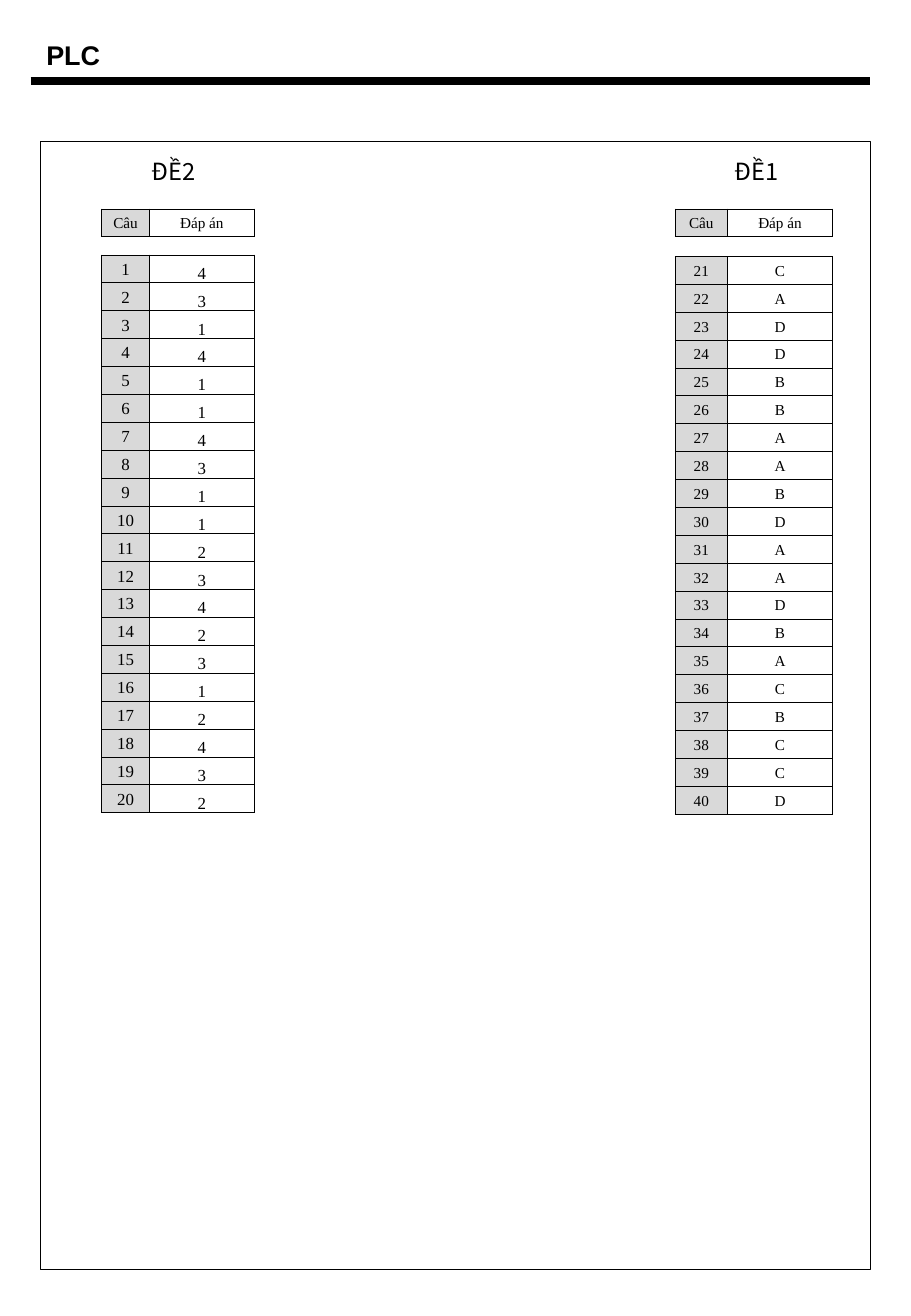
import pptx
import pptx.util
import pptx.dml.color
import pptx.enum.shapes
import pptx.enum.text
import pptx.oxml.ns
import lxml.etree

Cm = pptx.util.Cm
Pt = pptx.util.Pt
ANCHOR = pptx.enum.text.MSO_ANCHOR
COLORS = {"ink": "000000", "number": "D9D9D9", "answer": "FFFFFF"}
RGB = {name: pptx.dml.color.RGBColor.from_string(value) for name, value in COLORS.items()}


def write(paragraph, text, size, font, bold=False):
    run = paragraph.add_run()
    run.text = text
    run.font.size = Pt(size)
    run.font.name = font
    run.font.bold = bold
    run.font.color.rgb = RGB["ink"]


def add_grid(left, top, widths, height, rows, size, answer_anchor):
    grid = slide.shapes.add_table(
        len(rows), 2, Cm(left), Cm(top), Cm(sum(widths)), Cm(height)).table
    grid.first_row = False
    grid.horz_banding = False
    for column, width in zip(grid.columns, widths):
        column.width = Cm(width)
    for row, texts in zip(grid.rows, rows):
        row.height = Cm(height / len(rows))
        styles = (("number", ANCHOR.MIDDLE), ("answer", answer_anchor))
        for cell, text, (fill, anchor) in zip(row.cells, texts, styles):
            cell.margin_left = cell.margin_right = cell.margin_top = Cm(0.03)
            cell.margin_bottom = 0
            cell.vertical_anchor = anchor
            paragraph = cell.text_frame.paragraphs[0]
            paragraph.alignment = pptx.enum.text.PP_ALIGN.CENTER
            write(paragraph, text, size, "Times New Roman")
            properties = cell._tc.get_or_add_tcPr()
            for side in ("a:lnL", "a:lnR", "a:lnT", "a:lnB"):
                border = lxml.etree.SubElement(
                    properties, pptx.oxml.ns.qn(side), w=str(Pt(0.5)))
                solid = lxml.etree.SubElement(border, pptx.oxml.ns.qn("a:solidFill"))
                lxml.etree.SubElement(
                    solid, pptx.oxml.ns.qn("a:srgbClr"), val=COLORS["ink"])
            cell.fill.solid()
            cell.fill.fore_color.rgb = RGB[fill]


deck = pptx.Presentation()
deck.slide_width = Cm(19.05)
deck.slide_height = Cm(27.51)
slide = deck.slides.add_slide(deck.slide_layouts[6])

header_rule = slide.shapes.add_connector(
    pptx.enum.shapes.MSO_CONNECTOR.STRAIGHT, Cm(0.64), Cm(1.69), Cm(18.2), Cm(1.69))
header_rule.line.width = Pt(4.5)
header_rule.line.color.rgb = RGB["ink"]
lxml.etree.SubElement(header_rule._element.spPr, pptx.oxml.ns.qn("a:effectLst"))

page_frame = slide.shapes.add_shape(
    pptx.enum.shapes.MSO_SHAPE.RECTANGLE, Cm(0.85), Cm(2.96), Cm(17.36), Cm(23.58))
page_frame.shadow.inherit = False
page_frame.fill.background()
page_frame.line.width = Pt(0.75)
page_frame.line.color.rgb = RGB["ink"]

HEADINGS = [
    ("PLC", 0.72, 0.69, 1.65, 0.93, 16, "Arial", True),
    ("ĐỀ1", 15.11, 3.15, 1.6, 0.86, 14, "Noto Sans CJK KR", False),
    ("ĐỀ2", 2.92, 3.15, 1.6, 0.86, 14, "Noto Sans CJK KR", False),
]
for text, left, top, width, height, size, font, bold in HEADINGS:
    heading = slide.shapes.add_textbox(Cm(left), Cm(top), Cm(width), Cm(height)).text_frame
    heading.word_wrap = not bold
    heading.auto_size = pptx.enum.text.MSO_AUTO_SIZE.SHAPE_TO_FIT_TEXT
    write(heading.paragraphs[0], text, size, font, bold)

EXAMS = [
    (14.12, 5.36, (1.09, 2.2), 21, "CADDBBAABDAADBACBCCD", 9, ANCHOR.MIDDLE),
    (2.13, 5.33, (0.99, 2.2), 1, "43141143112342312432", 10, ANCHOR.BOTTOM),
]
for left, top, widths, first, answers, size, anchor in EXAMS:
    add_grid(left, 4.37, widths, 0.58, [("Câu", "Đáp án")], 9, ANCHOR.MIDDLE)
    rows = [(str(number), answer) for number, answer in enumerate(answers, first)]
    add_grid(left, top, widths, 11.66, rows, size, anchor)

deck.save("out.pptx")
